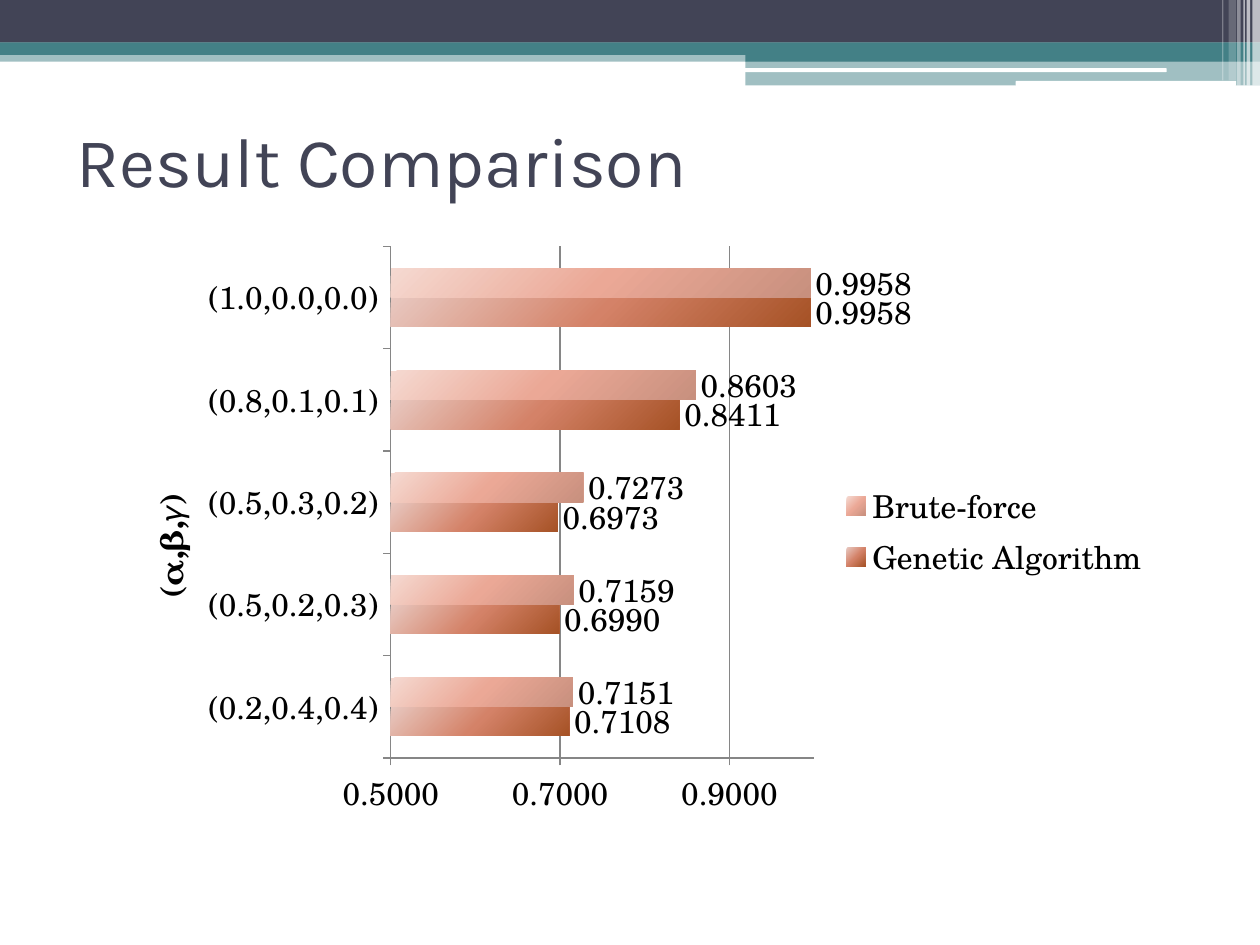
from copy import deepcopy

from lxml import etree
from pptx import Presentation
from pptx.chart.data import CategoryChartData
from pptx.dml.color import RGBColor
from pptx.enum.chart import XL_CHART_TYPE, XL_LABEL_POSITION, XL_LEGEND_POSITION, XL_TICK_MARK
from pptx.enum.shapes import MSO_SHAPE
from pptx.enum.text import MSO_ANCHOR, MSO_AUTO_SIZE, PP_ALIGN
from pptx.oxml.ns import qn
from pptx.util import Pt

RECT = MSO_SHAPE.RECTANGLE
ROUND = MSO_SHAPE.ROUNDED_RECTANGLE
BAR_CLUSTERED = XL_CHART_TYPE.BAR_CLUSTERED
OUTSIDE_END = XL_LABEL_POSITION.OUTSIDE_END
LEGEND_RIGHT = XL_LEGEND_POSITION.RIGHT
TICK_OUT = XL_TICK_MARK.OUTSIDE
MIDDLE = MSO_ANCHOR.MIDDLE
LEFT = PP_ALIGN.LEFT
NO_FIT = MSO_AUTO_SIZE.NONE

NAVY = RGBColor(0x42, 0x44, 0x56)
TEAL = RGBColor(0x43, 0x80, 0x86)
WHITE = RGBColor(0xFF, 0xFF, 0xFF)
BLACK = RGBColor(0, 0, 0)
GRAY = RGBColor(0x86, 0x86, 0x86)
GENETIC = [RGBColor(0xE8, 0xC8, 0xC0), RGBColor(0xD4, 0x82, 0x68), RGBColor(0xA6, 0x52, 0x26)]
BRUTE = [RGBColor(0xF5, 0xD9, 0xD1), RGBColor(0xEB, 0xA8, 0x96), RGBColor(0xC8, 0x90, 0x7E)]

TITLE_FONT = "Karla"
CHART_FONT = "TeX Gyre Schola"


def add_band(page, kind, left, top, width, height, color, opacity):
    band = page.shapes.add_shape(kind, Pt(left), Pt(top), Pt(width), Pt(height))
    band.shadow.inherit = False
    band.line.fill.background()
    band.fill.solid()
    band.fill.fore_color.rgb = color
    if opacity < 100:
        color_element = band._element.spPr.find(".//" + qn("a:srgbClr"))
        etree.SubElement(color_element, qn("a:alpha"), val=str(opacity * 1000))


def set_layout(element, index, **settings):
    layout = element.find(qn("c:layout"))
    if layout is None:
        layout = etree.Element(qn("c:layout"))
        element.insert(index, layout)
    manual = etree.SubElement(layout, qn("c:manualLayout"))
    for name, value in settings.items():
        etree.SubElement(manual, qn("c:" + name), val=str(value))


deck = Presentation()
deck.slide_width = Pt(720)
deck.slide_height = Pt(540)
page = deck.slides.add_slide(deck.slide_layouts[5])

bands = [
    (RECT, 0, 28.8, 720, 6.5, TEAL, 50),
    (RECT, 0, 0, 720, 24.4, NAVY, 100),
    (RECT, 0, 24.2, 720, 7.2, TEAL, 100),
    (RECT, 426, 28, 294, 7.2, TEAL, 100),
    (RECT, 426, 35, 294, 13.8, TEAL, 50),
    (ROUND, 425.5, 39, 241.2, 2.2, WHITE, 100),
    (ROUND, 580.4, 46.2, 126, 2.9, WHITE, 100),
]
stripes = [
    (715.6, 4.4, 49, 65),
    (712.4, 2, 49, 65),
    (710.6, 0.8, 49, 60),
    (707, 2, 49, 40),
    (702, 4.4, 46, 20),
    (698.4, 0.8, 46, 30),
]
for left, width, height, opacity in stripes:
    bands.append((RECT, left, 0, width, height, WHITE, opacity))
for band in bands:
    add_band(page, *band)

title = page.shapes.title
title.left, title.top, title.width, title.height = Pt(36.7), Pt(49), Pt(648), Pt(84.2)
frame = title.text_frame
frame.word_wrap = True
frame.auto_size = NO_FIT
frame.vertical_anchor = MIDDLE
para = frame.paragraphs[0]
para.alignment = LEFT
span = para.add_run()
span.text = "Result Comparison"
span.font.name = TITLE_FONT
span.font.size = Pt(40)
span.font.color.rgb = NAVY

data = CategoryChartData(number_format="0.0000")
data.categories = ["(0.2,0.4,0.4)", "(0.5,0.2,0.3)", "(0.5,0.3,0.2)", "(0.8,0.1,0.1)", "(1.0,0.0,0.0)"]
data.add_series("Genetic Algorithm", [0.7108, 0.6990, 0.6973, 0.8411, 0.9958])
data.add_series("Brute-force", [0.7151, 0.7159, 0.7273, 0.8603, 0.9958])
chart = page.shapes.add_chart(BAR_CLUSTERED, Pt(60), Pt(134), Pt(604.8), Pt(340), data).chart
chart.has_title = False
chart.font.name = CHART_FONT
chart.font.size = Pt(18)
chart.font.color.rgb = BLACK

plot = chart.plots[0]
plot.gap_width = 150
plot.overlap = 0
plot.vary_by_categories = False
plot_area = chart._chartSpace.find(".//" + qn("c:plotArea"))
set_layout(plot_area, 0, layoutTarget="inner", xMode="edge", yMode="edge", x=0.27, y=0.02, w=0.4, h=0.86)

for series, colors in zip(plot.series, [GENETIC, BRUTE]):
    fill = series.format.fill
    fill.gradient()
    fill.gradient_angle = 315
    stop_list = series._element.find(".//" + qn("a:gsLst"))
    stop_list.insert(1, deepcopy(stop_list[0]))
    for stop, position, color in zip(fill.gradient_stops, [0, 0.5, 1], colors):
        stop.position = position
        stop.color.rgb = color
    labels = series.data_labels
    labels.show_value = True
    labels.position = OUTSIDE_END
    labels.number_format = "0.0000"
    labels.number_format_is_linked = False

for axis in (chart.category_axis, chart.value_axis):
    axis.major_tick_mark = TICK_OUT
    axis.format.line.color.rgb = GRAY
    axis.format.line.width = Pt(0.75)

values = chart.value_axis
values.minimum_scale = 0.5
values.maximum_scale = 1
values.major_unit = 0.2
values.has_major_gridlines = True
values.major_gridlines.format.line.color.rgb = GRAY
values.major_gridlines.format.line.width = Pt(0.75)
values.tick_labels.number_format = "0.0000"
values.tick_labels.number_format_is_linked = False

axis_title = chart.category_axis.axis_title
axis_frame = axis_title.text_frame
axis_frame._txBody.bodyPr.set("rot", "-5400000")
axis_frame._txBody.bodyPr.set("vert", "horz")
span = axis_frame.paragraphs[0].add_run()
span.text = "(α,β,𝛾) "
span.font.name = CHART_FONT
span.font.size = Pt(18)
span.font.bold = True
span.font.color.rgb = BLACK
set_layout(axis_title._element, 1, xMode="edge", yMode="edge", x=0.03, y=0.41)

chart.has_legend = True
legend = chart.legend
legend.position = LEGEND_RIGHT
legend.include_in_layout = False
set_layout(legend._element, 1, xMode="edge", yMode="edge", x=0.69, y=0.41, w=0.3, h=0.18)

deck.save("out.pptx")
